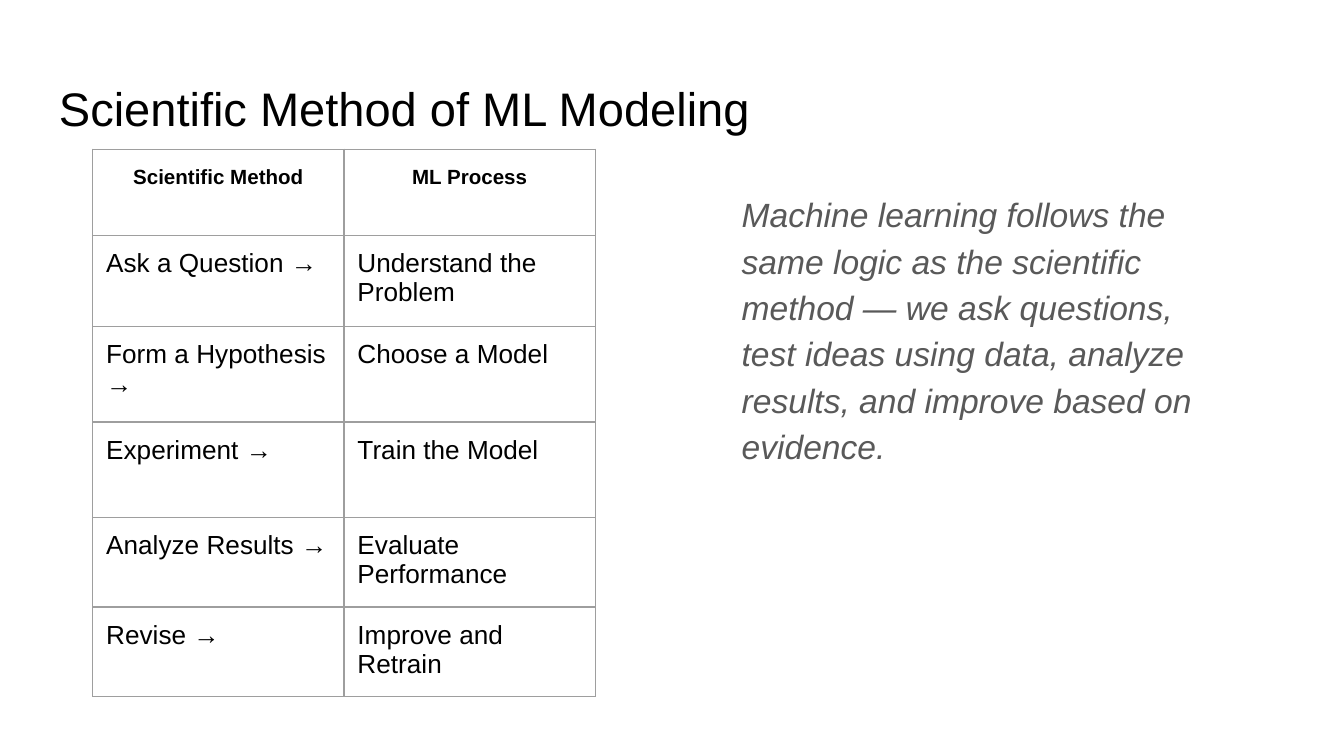
import dataclasses

import lxml.etree
import pptx
import pptx.dml.color
import pptx.enum.text
import pptx.oxml.ns
import pptx.util

Inches = pptx.util.Inches
Pt = pptx.util.Pt
ALIGN = pptx.enum.text.PP_ALIGN
qn = pptx.oxml.ns.qn


@dataclasses.dataclass(frozen=True)
class Theme:
    font: str = "Arial"
    ink: str = "000000"
    muted: str = "595959"
    border: str = "9E9E9E"
    border_width: float = 0.75
    title_size: float = 25.2
    header_size: float = 11
    cell_size: float = 14
    quote_size: float = 18
    inset: float = 0.1


class SlideBuilder:
    def __init__(self, slide, theme):
        self.slide = slide
        self.theme = theme

    def style(self, paragraph, size, color, bold=False, italic=False):
        font = paragraph.font
        font.name = self.theme.font
        font.size = Pt(size)
        font.bold = bold
        font.italic = italic
        font.color.rgb = pptx.dml.color.RGBColor.from_string(color)
        # The paragraph end keeps the text size, so rows do not grow
        lxml.etree.SubElement(paragraph._p, qn("a:endParaRPr"),
                              sz=str(round(size * 100)))

    def set_margins(self, holder):
        for side in ("left", "top", "right", "bottom"):
            setattr(holder, f"margin_{side}", Inches(self.theme.inset))

    def text(self, box, wording, size, color, italic=False):
        shape = self.slide.shapes.add_textbox(*map(Inches, box))
        frame = shape.text_frame
        frame.word_wrap = True
        self.set_margins(frame)
        paragraph = frame.paragraphs[0]
        paragraph.text = wording
        self.style(paragraph, size, color, italic=italic)
        return frame

    def quote(self, box, wording):
        frame = self.text(box, wording, self.theme.quote_size,
                          self.theme.muted, italic=True)
        frame.margin_right = Inches(0.3)
        paragraph = frame.paragraphs[0]
        paragraph.line_spacing = 1.15
        paragraph.space_before = Pt(12)
        properties = paragraph._p.get_or_add_pPr()
        properties.set("marL", str(Inches(0.42)))
        properties.set("indent", "0")

    def cell_borders(self, cell):
        properties = cell._tc.get_or_add_tcPr()
        for position, edge in enumerate(("a:lnL", "a:lnR", "a:lnT", "a:lnB")):
            line = lxml.etree.Element(qn(edge), w=str(Pt(self.theme.border_width)))
            fill = lxml.etree.SubElement(line, qn("a:solidFill"))
            lxml.etree.SubElement(fill, qn("a:srgbClr"), val=self.theme.border)
            properties.insert(position, line)

    def table(self, left, top, column_width, row_heights, rows):
        columns = len(rows[0])
        table = self.slide.shapes.add_table(
            len(rows), columns, Inches(left), Inches(top),
            Inches(column_width * columns), Inches(sum(row_heights))).table
        table.horz_banding = False
        for column in table.columns:
            column.width = Inches(column_width)
        for row_index, (height, wordings) in enumerate(zip(row_heights, rows)):
            table.rows[row_index].height = Inches(height)
            header = row_index == 0
            for column_index, wording in enumerate(wordings):
                cell = table.cell(row_index, column_index)
                cell.fill.background()
                self.set_margins(cell)
                self.cell_borders(cell)
                paragraph = cell.text_frame.paragraphs[0]
                paragraph.text = wording
                size = self.theme.header_size if header else self.theme.cell_size
                self.style(paragraph, size, self.theme.ink, bold=header)
                if header:
                    paragraph.alignment = ALIGN.CENTER
                    paragraph.line_spacing = 1.15


def main():
    presentation = pptx.Presentation()
    presentation.slide_width = Inches(10)
    presentation.slide_height = presentation.slide_width * 9 // 16
    slide = presentation.slides.add_slide(presentation.slide_layouts[6])
    theme = Theme()
    builder = SlideBuilder(slide, theme)

    # Title
    builder.text((0.34, 0.49, 9.32, 0.63), "Scientific Method of ML Modeling",
                 theme.title_size, theme.ink)

    # Comparison of the two processes
    builder.table(0.69, 1.11, 1.87, (0.64, 0.68, 0.71, 0.71, 0.64, 0.64), (
        ("Scientific Method", "ML Process"),
        ("Ask a Question →", "Understand the Problem"),
        ("Form a Hypothesis →", "Choose a Model"),
        ("Experiment →", "Train the Model"),
        ("Analyze Results →", "Evaluate Performance"),
        ("Revise →", "Improve and Retrain"),
    ))

    # Takeaway
    builder.quote((5, 1.3, 4.39, 2.76),
                  "Machine learning follows the same logic as the scientific "
                  "method — we ask questions, test ideas using data, analyze "
                  "results, and improve based on evidence.")

    presentation.save("out.pptx")


if __name__ == "__main__":
    main()
